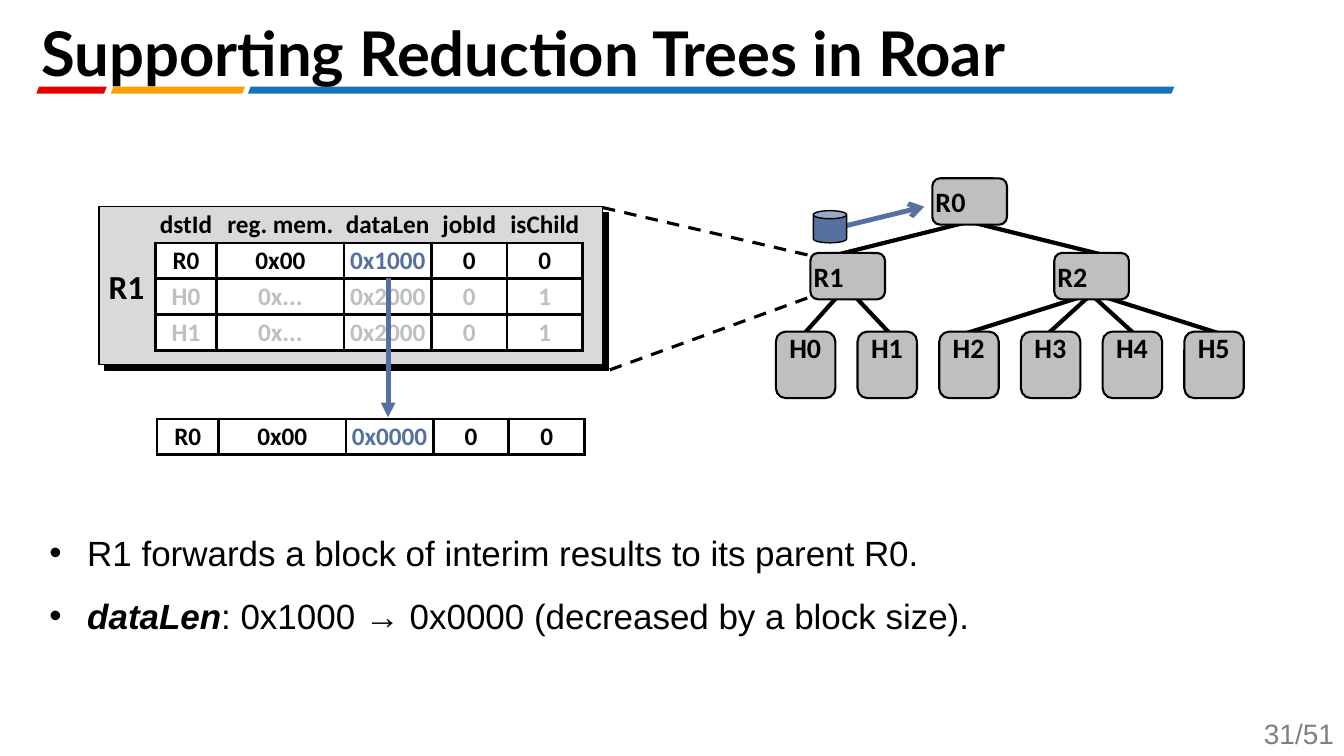
from dataclasses import dataclass

from lxml.etree import SubElement
from pptx import Presentation
from pptx.dml.color import RGBColor
from pptx.enum.dml import MSO_LINE
from pptx.enum.shapes import MSO_CONNECTOR, MSO_SHAPE
from pptx.enum.text import MSO_ANCHOR, MSO_AUTO_SIZE, PP_ALIGN
from pptx.oxml.ns import qn
from pptx.util import Pt


@dataclass(frozen=True)
class Theme:
    black: str = "000000"
    white: str = "FFFFFF"
    node: str = "BFBFBF"
    panel: str = "D9D9D9"
    accent: str = "5671A0"
    page: str = "808080"
    red: str = "EB0000"
    orange: str = "FD9F02"
    blue: str = "1674BA"
    title_font: str = "Lato"
    body_font: str = "Arial"
    diagram_font: str = "Calibri"
    title_size: float = 44
    body_size: float = 25
    panel_size: float = 24
    node_size: float = 20
    cell_size: float = 18


T = Theme()
NO_STYLE = "{2D5ABB26-0587-4C30-8999-92F81FD0307C}"
COLUMNS = (43.9, 91, 62.4, 54, 54)
ROW_HEIGHT = 25.7

# Each edge joins a child to its parent: x1, y1, x2, y2
TREE_EDGES = [
    (791.3, 182.9, 689.8, 157.7), (591.1, 183.6, 694.8, 157.7),
    (817.2, 244.8, 776.9, 208.1), (735.1, 250.6, 782.6, 207.4),
    (560.9, 253.4, 598.3, 211.7), (648, 251.3, 611.3, 212.4),
    (880.6, 241.2, 780.5, 209.5), (673.2, 243.4, 784.8, 208.1),
]
SWITCHES = {"R1": (578.9, 180.7), "R2": (753.1, 180.7), "R0": (666, 127.4)}


def pts(values):
    return [Pt(v) for v in values]


def rgb(color):
    return RGBColor.from_string(color)


def apply(target, **fmt):
    for name, value in fmt.items():
        setattr(target, name, value)


def write(p, text, font, size, color=T.black, **fmt):
    r = p.add_run()
    r.text = text
    apply(r.font, name=font, size=Pt(size), **fmt)
    r.font.color.rgb = rgb(color)


def set_frame(tf, margin=0, anchor=MSO_ANCHOR.TOP):
    apply(tf, word_wrap=True, auto_size=MSO_AUTO_SIZE.NONE, vertical_anchor=anchor,
          margin_left=Pt(margin), margin_right=Pt(margin),
          margin_top=Pt(margin / 2), margin_bottom=Pt(margin / 2))


def add_label(s, box, text, size, font=T.diagram_font, color=T.black, bold=True,
              align=PP_ALIGN.CENTER, margin=0):
    tf = s.shapes.add_textbox(*pts(box)).text_frame
    set_frame(tf, margin)
    p = tf.paragraphs[0]
    p.alignment = align
    write(p, text, font, size, color, bold=bold)


def add_block(s, kind, box, fill, line_width=None):
    sp = s.shapes.add_shape(kind, *pts(box))
    sp.shadow.inherit = False
    sp.fill.solid()
    sp.fill.fore_color.rgb = rgb(fill)
    if line_width:
        sp.line.width = Pt(line_width)
        sp.line.color.rgb = rgb(T.black)
    else:
        sp.line.fill.background()
    return sp


def add_line(s, ends, width, color=T.black, dash=None, arrow=None):
    c = s.shapes.add_connector(MSO_CONNECTOR.STRAIGHT, *pts(ends))
    c.line.width = Pt(width)
    c.line.color.rgb = rgb(color)
    if dash:
        c.line.dash_style = dash
    sp_pr = c.element.spPr
    if arrow:
        SubElement(sp_pr.find(qn("a:ln")), qn("a:tailEnd"), type=arrow)
    SubElement(sp_pr, qn("a:effectLst"))


def set_borders(cell, sides):
    tc_pr = cell._tc.get_or_add_tcPr()
    for side in "LRTB":
        ln = SubElement(tc_pr, qn(f"a:ln{side}"), w=str(Pt(2.25)))
        if side in sides:
            fill = SubElement(ln, qn("a:solidFill"))
            SubElement(fill, qn("a:srgbClr"), val=T.black)
        else:
            SubElement(ln, qn("a:noFill"))


def add_entries(s, left, top, rows, header=False):
    box = (left, top, sum(COLUMNS), ROW_HEIGHT * len(rows))
    table = s.shapes.add_table(len(rows), len(COLUMNS), *pts(box)).table
    apply(table, first_row=header, horz_banding=False)
    table._tbl.tblPr.find(qn("a:tableStyleId")).text = NO_STYLE
    for column, width in zip(table.columns, COLUMNS):
        column.width = Pt(width)
    for i, values in enumerate(rows):
        table.rows[i].height = Pt(ROW_HEIGHT)
        is_header = header and i == 0
        for j, value in enumerate(values):
            cell = table.cell(i, j)
            apply(cell, margin_left=0, margin_right=0, margin_top=0, margin_bottom=0,
                  vertical_anchor=MSO_ANCHOR.MIDDLE)
            set_borders(cell, "B" if is_header else "LRTB")
            if is_header:
                cell.fill.background()
            else:
                cell.fill.solid()
                cell.fill.fore_color.rgb = rgb(T.white)
            # Child rows are dimmed; the length sent to the parent stands out
            color = T.black
            if values[0].startswith("H"):
                color = T.node
            elif j == 2 and not is_header:
                color = T.accent
            p = cell.text_frame.paragraphs[0]
            p.alignment = PP_ALIGN.CENTER
            write(p, value, T.diagram_font, T.cell_size, color, bold=True)


def place(sp, box):
    apply(sp, **dict(zip(("left", "top", "width", "height"), pts(box))))


def add_title(s, text):
    place(s.shapes.title, (29.5, 0, 903.6, 61.2))
    tf = s.shapes.title.text_frame
    set_frame(tf, anchor=MSO_ANCHOR.BOTTOM)
    p = tf.paragraphs[0]
    apply(p, alignment=PP_ALIGN.LEFT, line_spacing=0.6, space_before=Pt(0))
    write(p, text, T.title_font, T.title_size, bold=True)


def add_bullets(s, items):
    body = s.placeholders[1]
    place(body, (28.1, 360.7, 921.6, 97.9))
    tf = body.text_frame
    set_frame(tf, margin=7.2)
    for i, runs in enumerate(items):
        p = tf.add_paragraph() if i else tf.paragraphs[0]
        p_pr = p._p.get_or_add_pPr()
        p_pr.set("marL", str(Pt(27)))
        p_pr.set("indent", str(Pt(-27)))
        apply(p, line_spacing=1.5, space_before=Pt(0), alignment=PP_ALIGN.LEFT)
        for text, strong in runs:
            write(p, text, T.body_font, T.body_size, bold=strong, italic=strong)


def add_tree(s):
    for ends in TREE_EDGES:
        add_line(s, ends, 3)
    for name, (x, y) in SWITCHES.items():
        add_block(s, MSO_SHAPE.ROUNDED_RECTANGLE, (x, y, 53.3, 33.1), T.node, 1.5)
        add_label(s, (x - 2.9, y + 4.5, 31.7, 22.3), name, T.node_size)
    for i in range(6):
        x = 554.2 + 58.35 * i
        add_block(s, MSO_SHAPE.ROUNDED_RECTANGLE, (x, 236.9, 42.5, 47.5), T.node, 1.5)
        add_label(s, (x + 5.2, 236.2, 31.7, 18.7), f"H{i}", T.node_size)


def main():
    prs = Presentation()
    prs.slide_width, prs.slide_height = pts((960, 540))
    s = prs.slides.add_slide(prs.slide_layouts[1])

    # Title, coloured rule and page number
    for x, width, color in ((177.1, 661.7, T.blue), (25.9, 50.4, T.red),
                            (79.2, 95.8, T.orange)):
        bar = add_block(s, MSO_SHAPE.PARALLELOGRAM, (x, 61.9, width, 5), color)
        bar.adjustments[0] = 0.4
    add_label(s, (878.4, 508.3, 81.6, 31.7), "31/51", T.node_size, T.body_font,
              T.page, bold=False, align=PP_ALIGN.RIGHT, margin=7.2)
    add_title(s, "Supporting Reduction Trees in Roar")
    add_bullets(s, [
        [("R1 forwards a block of interim results to its parent R0.", False)],
        [("dataLen", True), (": 0x1000 → 0x0000 (decreased by a block size).", False)],
    ])

    # Reduction tree, with the block sent from R1 to R0
    add_line(s, (430.6, 148.3, 580.3, 182.9), 2.25, dash=MSO_LINE.DASH)
    add_line(s, (604.1, 161.3, 660.2, 147.6), 3.5, T.accent, arrow="arrow")
    add_tree(s)

    # State kept at R1
    for x, y, color in ((74.9, 151.9, T.black), (70.6, 147.6, T.panel)):
        add_block(s, MSO_SHAPE.RECTANGLE, (x, y, 360, 113), color, 1)
    add_label(s, (72, 190.1, 36.7, 28.1), "R1", T.panel_size)
    add_entries(s, 110.9, 147.8, [
        ("dstId", "reg. mem.", "dataLen", "jobId", "isChild"),
        ("R0", "0x00", "0x1000", "0", "0"),
        ("H0", "0x...", "0x2000", "0", "1"),
        ("H1", "0x...", "0x2000", "0", "1"),
    ], header=True)
    add_line(s, (435.6, 264.2, 581.8, 211), 2.25, dash=MSO_LINE.DASH)
    add_block(s, MSO_SHAPE.CAN, (581, 150.5, 23.8, 23), T.accent, 1)

    # Entry after the block is sent
    add_line(s, (277.2, 198.7, 277.2, 298.1), 3.5, T.accent, arrow="triangle")
    add_entries(s, 112.2, 299.2, [("R0", "0x00", "0x0000", "0", "0")])

    prs.save("out.pptx")


if __name__ == "__main__":
    main()
